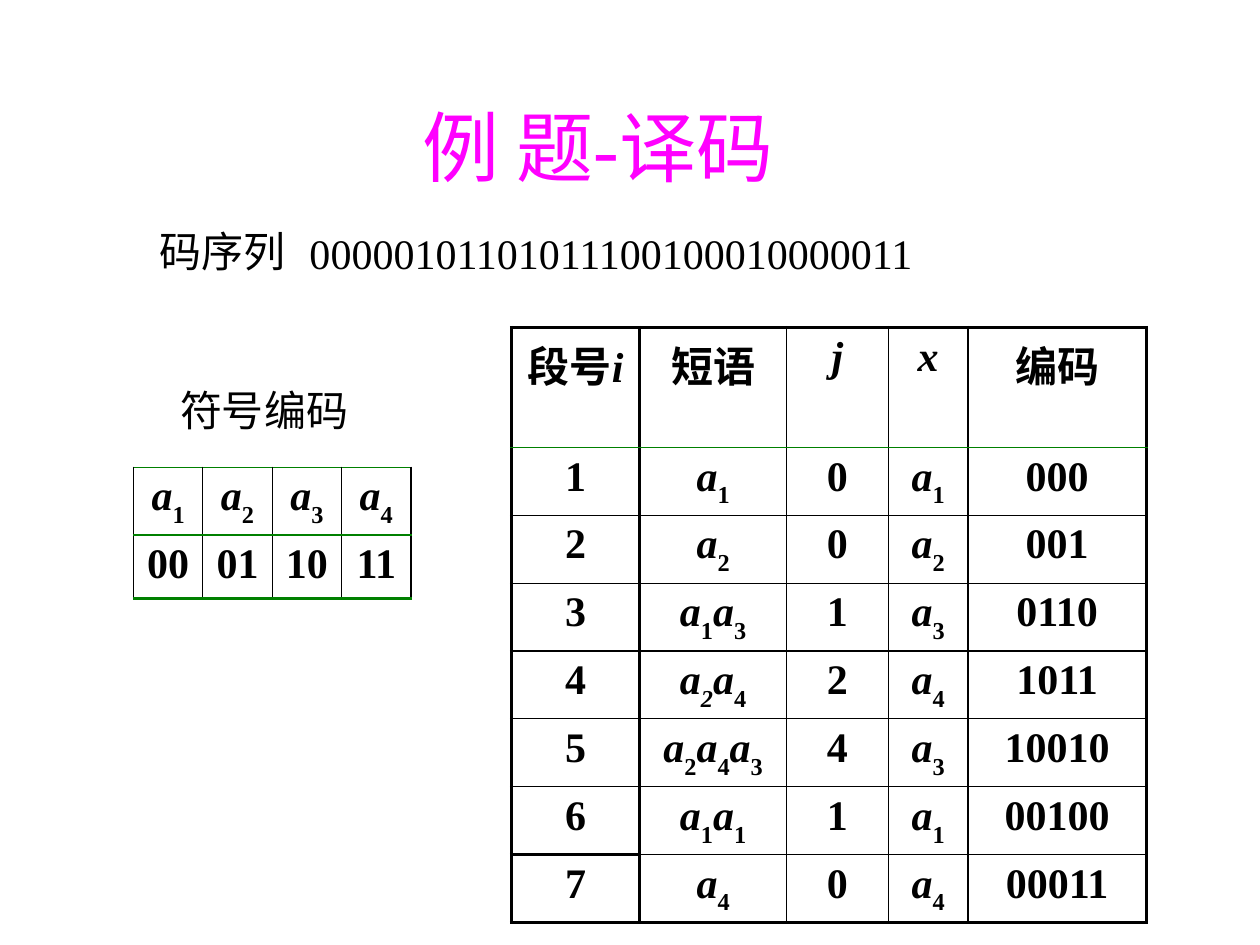
from itertools import groupby

from lxml import etree
from pptx import Presentation
from pptx.dml.color import RGBColor
from pptx.enum.text import MSO_ANCHOR as ANCHOR, MSO_AUTO_SIZE as FIT, PP_ALIGN as ALIGN
from pptx.oxml.ns import qn
from pptx.util import Cm, Pt

FONT = "Times New Roman"
BLACK, GREEN, MAGENTA = "000000", "008000", "FF00FF"


def style(font, size, color):
    font.name = FONT
    font.size = Pt(size)
    font.color.rgb = RGBColor.from_string(color)


def add_grid(s, left, top, widths, row_h, rows, v_lines, h_lines, h_special):
    gf = s.shapes.add_table(len(rows), len(widths), Cm(left), Cm(top),
                            Cm(sum(widths)), Cm(row_h * len(rows)))
    tbl = gf.table
    tbl.first_row = tbl.horz_banding = False
    for col, w in zip(tbl.columns, widths):
        col.width = Cm(w)
    for r, row in enumerate(rows):
        for c, text in enumerate(row):
            cell = tbl.cell(r, c)
            cell.fill.background()
            p = cell.text_frame.paragraphs[0]
            p.alignment = ALIGN.CENTER
            for is_letter, chars in groupby(text, lambda ch: ch.isascii() and ch.isalpha()):
                run = p.add_run()
                run.text = "".join(chars)
                style(run.font, 24, BLACK)
                run.font.bold = True
                run.font.italic = is_letter
                if text[0] == "a" and not is_letter:
                    run.font._element.set("baseline", "-30000")
            lines = [v_lines[c], v_lines[c + 1],
                     h_special.get((r, c), h_lines[r]),
                     h_special.get((r + 1, c), h_lines[r + 1])]
            tc_pr = cell._tc.get_or_add_tcPr()
            for i, (tag, (color, width)) in enumerate(zip(("lnL", "lnR", "lnT", "lnB"), lines)):
                ln = etree.Element(qn(f"a:{tag}"), w=str(Pt(width)))
                fill = etree.SubElement(ln, qn("a:solidFill"))
                etree.SubElement(fill, qn("a:srgbClr"), val=color)
                tc_pr.insert(i, ln)
    return tbl


prs = Presentation()
prs.slide_width, prs.slide_height = Cm(25.4), Cm(19.05)
s = prs.slides.add_slide(prs.slide_layouts[5])

thin, medium, thick = (BLACK, 0.75), (BLACK, 1), (BLACK, 2)
green = (GREEN, 1)

phrases = [
    ["段号i", "短语", "j", "x", "编码"],
    ["1", "a1", "0", "a1", "000"],
    ["2", "a2", "0", "a2", "001"],
    ["3", "a1a3", "1", "a3", "0110"],
    ["4", "a2a4", "2", "a4", "1011"],
    ["5", "a2a4a3", "4", "a3", "10010"],
    ["6", "a1a1", "1", "a1", "00100"],
    ["7", "a4", "0", "a4", "00011"],
]
tbl = add_grid(s, 10.31, 6.6, [2.59, 2.95, 2.06, 1.6, 3.6], 1.27, phrases,
               [thick, thick, medium, medium, medium, thick],
               [thick, green] + [thin] * 6 + [thick], {(7, 0): thick})
tbl.cell(4, 1).text_frame.paragraphs[0].runs[1].font.italic = True

symbols = [["a1", "a2", "a3", "a4"], ["00", "01", "10", "11"]]
add_grid(s, 2.69, 9.42, [1.4] * 4, 1.27, symbols,
         [thin] * 5, [green, green, (GREEN, 2)], {})

title = s.shapes.title
title.left, title.top, title.width, title.height = Cm(2.51), Cm(0.71), Cm(19.08), Cm(4.45)
tf = title.text_frame
tf.text = "例 题-译码"
tf.vertical_anchor = ANCHOR.MIDDLE
p = tf.paragraphs[0]
p.alignment = ALIGN.CENTER
style(p.runs[0].font, 44, MAGENTA)

labels = [
    ("符号编码", 3.38, 7.62, 4.11, ANCHOR.MIDDLE),
    ("00000101101011100100010000011", 5.99, 4.47, 12.78, ANCHOR.TOP),
    ("码序列", 2.97, 4.42, 3.05, ANCHOR.TOP),
]
for text, left, top, width, anchor in labels:
    tf = s.shapes.add_textbox(Cm(left), Cm(top), Cm(width), Cm(1.27)).text_frame
    tf.text = text
    tf.word_wrap = False
    tf.auto_size = FIT.SHAPE_TO_FIT_TEXT
    tf.vertical_anchor = anchor
    style(tf.paragraphs[0].runs[0].font, 24, BLACK)

prs.save("out.pptx")
